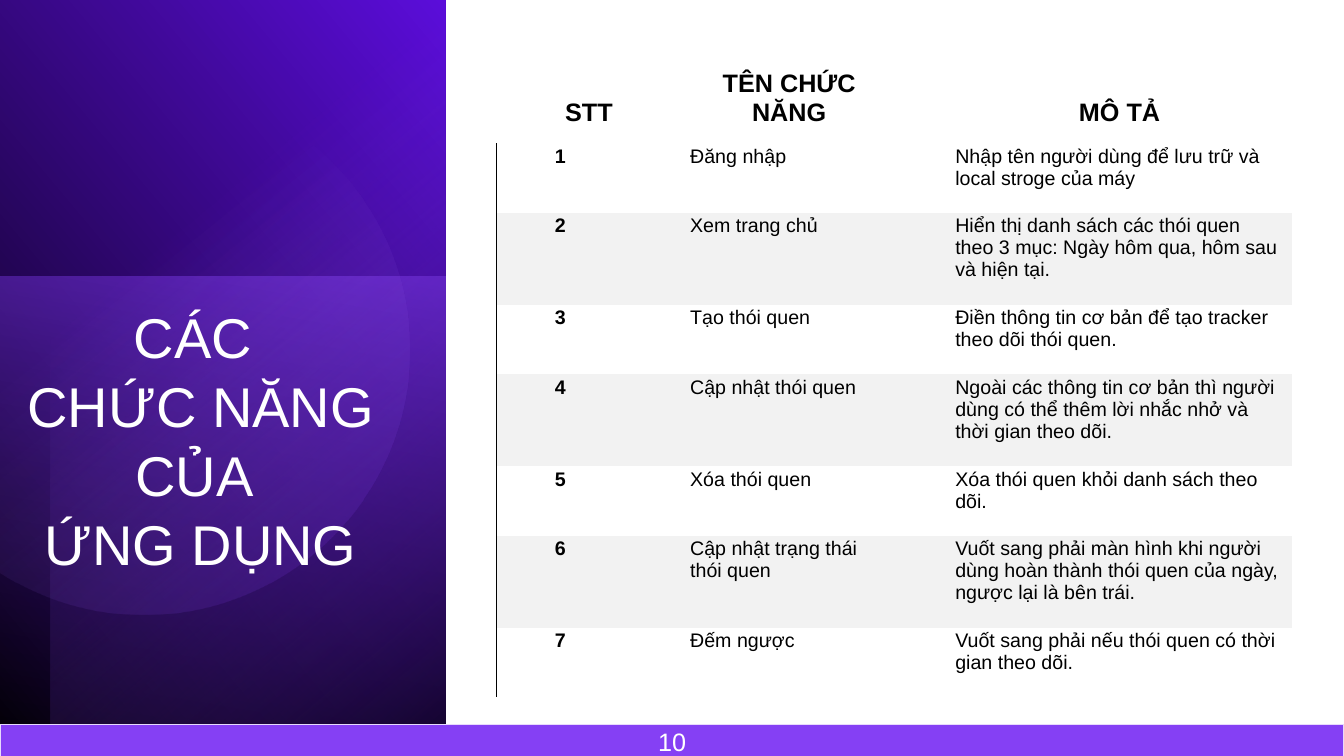
import math

import lxml.etree
import pptx
import pptx.dml.color
import pptx.enum.shapes
import pptx.enum.text
import pptx.oxml
import pptx.oxml.ns
import pptx.util

Pt = pptx.util.Pt
qn = pptx.oxml.ns.qn
ALIGN = pptx.enum.text.PP_ALIGN
ANCHOR = pptx.enum.text.MSO_ANCHOR
RECTANGLE = pptx.enum.shapes.MSO_SHAPE.RECTANGLE

COLORS = {
    "black": "000000", "white": "FFFFFF", "violet": "8540F4", "indigo": "5B0DDA",
    "deep": "3D0892", "lilac": "B68CF8", "pale": "E7D9FD", "band": "F2F2F2",
}
PLAIN_TABLE_STYLE = "{2D5ABB26-0587-4C30-8999-92F81FD0307C}"
TITLE_LINES = ["CÁC ", "CHỨC NĂNG ", "CỦA ", "ỨNG DỤNG"]
HEADINGS = ["STT", "TÊN CHỨC NĂNG", "MÔ TẢ"]
FEATURES = [
    ("Đăng nhập", "Nhập tên người dùng để lưu trữ và local stroge của máy"),
    ("Xem trang chủ", "Hiển thị danh sách các thói quen theo 3 mục: Ngày hôm qua, hôm sau và hiện tại."),
    ("Tạo thói quen", "Điền thông tin cơ bản để tạo tracker theo dõi thói quen."),
    ("Cập nhật thói quen", "Ngoài các thông tin cơ bản thì người dùng có thể thêm lời nhắc nhở và thời gian theo dõi."),
    ("Xóa thói quen", "Xóa thói quen khỏi danh sách theo dõi."),
    ("Cập nhật trạng thái thói quen", "Vuốt sang phải màn hình khi người dùng hoàn thành thói quen của ngày, ngược lại là bên trái."),
    ("Đếm ngược", "Vuốt sang phải nếu thói quen có thời gian theo dõi."),
]


def rgb(name):
    return pptx.dml.color.RGBColor.from_string(COLORS[name])


def apply(target, values):
    for name, value in values.items():
        setattr(target, name, value)


def write(paragraph, text, size, color, bold=False, **paragraph_format):
    apply(paragraph, paragraph_format)
    run = paragraph.add_run()
    run.text = text
    apply(run.font, {"name": "Arial", "size": Pt(size), "bold": bold})
    run.font.color.rgb = rgb(color)


def fill_gradient(shape, stops, angle):
    shape.shadow.inherit = False
    shape.line.fill.background()
    shape.fill.background()
    properties = shape._element.spPr
    gradient = pptx.oxml.parse_xml(
        f'<a:gradFill {pptx.oxml.ns.nsdecls("a")} rotWithShape="1"><a:gsLst>'
        + "".join(
            f'<a:gs pos="{position * 1000}"><a:srgbClr val="{COLORS[color]}">'
            f'<a:alpha val="{alpha * 1000}"/></a:srgbClr></a:gs>'
            for position, color, alpha in stops
        )
        + f'</a:gsLst><a:lin ang="{angle * 60000}" scaled="0"/></a:gradFill>'
    )
    properties.replace(properties.find(qn("a:noFill")), gradient)


def add_turned_rectangle(slide, box, rotation, flipped, stops, angle):
    left, top, width, height = box
    shift = (width - height) / 2
    shape = slide.shapes.add_shape(
        RECTANGLE, Pt(left + shift), Pt(top - shift), Pt(height), Pt(width))
    shape.rotation = rotation
    if flipped:
        shape._element.spPr.xfrm.set("flipH", "1")
    fill_gradient(shape, stops, angle)


def add_cut_disc(slide, left, top, radius, rotation, half_sweep):
    points = []
    for step in range(121):
        angle = math.radians(half_sweep * (step / 60 - 1) - rotation)
        points.append((Pt(left + radius * (1 + math.cos(angle))),
                       Pt(top + radius * (1 + math.sin(angle)))))
    builder = slide.shapes.build_freeform(*points[0])
    builder.add_line_segments(points[1:], close=True)
    disc = builder.convert_to_shape()
    disc.rotation = rotation
    fill_gradient(disc, [(39, "lilac", 0), (100, "indigo", 26)], 310)


def add_title_panel(slide, left, top, width, height):
    add_turned_rectangle(slide, (left, top, width, height + 1.4), 90, True,
                         [(0, "black", 100), (100, "indigo", 100)], 310)
    add_turned_rectangle(slide, (left, top + 197.3, width, height - 197.3), 270, False,
                         [(0, "violet", 50), (100, "deep", 0)], 190)
    add_turned_rectangle(slide, (left + 36, top, width - 36, height), 270, True,
                         [(0, "black", 59), (69, "violet", 0)], 220)
    add_cut_disc(slide, left - 59, top + 94.3, 189.4, 101.6, 122.9)
    title = slide.shapes.add_textbox(Pt(left + 8), Pt(top + 218), Pt(270.7), Pt(242))
    frame = title.text_frame
    frame.word_wrap = True
    for index, line in enumerate(TITLE_LINES):
        paragraph = frame.add_paragraph() if index else frame.paragraphs[0]
        write(paragraph, line, 40, "white", alignment=ALIGN.CENTER,
              line_spacing=0.9, space_after=Pt(6))


def add_left_border(cell):
    border = pptx.oxml.parse_xml(
        f'<a:lnL {pptx.oxml.ns.nsdecls("a")} w="9525"><a:solidFill>'
        f'<a:srgbClr val="{COLORS["black"]}"/></a:solidFill></a:lnL>')
    cell._tc.get_or_add_tcPr().insert(0, border)


def add_feature_table(slide, left, top, width, height):
    rows = [HEADINGS] + [(str(number), *feature) for number, feature in enumerate(FEATURES, 1)]
    frame = slide.shapes.add_table(len(rows), len(HEADINGS), Pt(left), Pt(top), Pt(width), Pt(height))
    table = frame.table
    apply(table, {"first_row": False, "horz_banding": False})
    table._tbl.tblPr.find(qn("a:tableStyleId")).text = PLAIN_TABLE_STYLE
    for column, share in zip(table.columns, (0.17, 0.333, 0.497)):
        column.width = Pt(width * share)
    for row_index, texts in enumerate(rows):
        header = row_index == 0
        banded = not header and row_index % 2 == 0
        table.rows[row_index].height = Pt(60.5 if header else 65.7 if banded else 49.7)
        for column_index, text in enumerate(texts):
            cell = table.cell(row_index, column_index)
            apply(cell, {
                "margin_left": Pt(6), "margin_right": Pt(6),
                "margin_top": Pt(1.5), "margin_bottom": Pt(12),
                "vertical_anchor": ANCHOR.BOTTOM if header else ANCHOR.TOP,
            })
            if banded:
                cell.fill.solid()
                cell.fill.fore_color.rgb = rgb("band")
            else:
                cell.fill.background()
            if not header and column_index == 0:
                add_left_border(cell)
            paragraph = cell.text_frame.paragraphs[0]
            paragraph._p.get_or_add_pPr().set("marL", str(Pt(36)))
            write(paragraph, text, 18 if header else 14, "black",
                  bold=header or column_index == 0,
                  alignment=ALIGN.CENTER if header else ALIGN.LEFT)


def add_page_bar(slide, left, top, width, height):
    bar = slide.shapes.add_shape(RECTANGLE, Pt(left), Pt(top), Pt(width), Pt(height))
    bar.shadow.inherit = False
    bar.fill.solid()
    bar.fill.fore_color.rgb = rgb("violet")
    bar.line.color.rgb = rgb("pale")
    bar.line.width = Pt(1)
    bar.text_frame.vertical_anchor = ANCHOR.MIDDLE
    write(bar.text_frame.paragraphs[0], "10", 18, "white", alignment=ALIGN.CENTER)


def main():
    presentation = pptx.Presentation()
    apply(presentation, {"slide_width": Pt(960), "slide_height": Pt(540)})
    slide = presentation.slides.add_slide(presentation.slide_layouts[6])
    add_title_panel(slide, 0, 0, 318.2, 540)
    add_feature_table(slide, 354.3, 41.8, 568.8, 456.4)
    add_page_bar(slide, 0, 517.7, 960, 23.8)
    presentation.save("out.pptx")


if __name__ == "__main__":
    main()
